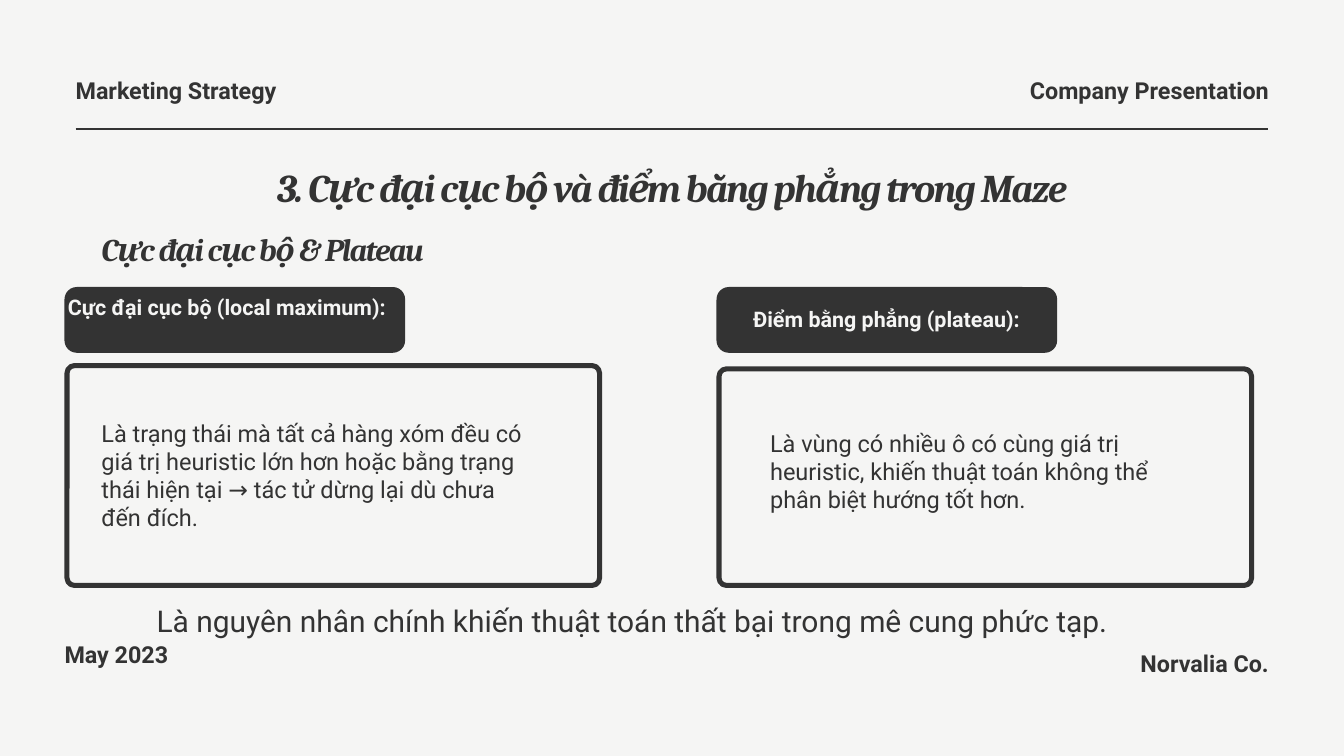
"""Build the slide on local maxima and plateaus in a maze."""
from lxml.etree import SubElement
from pptx import Presentation
from pptx.dml.color import RGBColor
from pptx.enum.shapes import MSO_CONNECTOR, MSO_SHAPE
from pptx.enum.text import MSO_AUTO_SIZE, PP_ALIGN
from pptx.oxml.ns import qn
from pptx.util import Pt

DARK, LIGHT = "333333", "F5F5F4"
LEFT, CENTER, RIGHT = PP_ALIGN.LEFT, PP_ALIGN.CENTER, PP_ALIGN.RIGHT
SLIDE_WIDTH, SLIDE_HEIGHT = 1440, 810
MARGIN, RULE_TOP = 81, 138.4
COLUMNS = (69.1, 767.7)
TAG = {"top": 307.5, "width": 365, "height": 70.5, "radius": 13.2}
FRAME = {"tops": (389, 392.5), "bottom": 630, "width": 576, "border": 5.4, "radius": 8.1}

STYLES = {
    "label": ({"name": "Roboto", "size": Pt(25), "bold": True}, DARK, 35, 0),
    "title": ({"name": "Cambria", "size": Pt(42), "bold": True, "italic": True}, DARK, 50.4, -200),
    "subtitle": ({"name": "Cambria", "size": Pt(33.9), "bold": True, "italic": True}, DARK, 40.7, -170),
    "tag": ({"name": "Roboto", "size": Pt(23), "bold": True}, LIGHT, 27.6, 0),
    "body": ({"name": "Roboto", "size": Pt(25.2)}, DARK, 30.25, 0),
    "summary": ({"name": "Roboto", "size": Pt(32.1)}, DARK, 38.5, 0),
}

TEXTS = [
    ("Marketing Strategy", "label", LEFT, (MARGIN, 76.3, 397, 34)),
    ("Company Presentation", "label", RIGHT, (962.4, 76.3, 397, 34)),
    ("3. Cực đại cục bộ và điểm bằng phẳng trong Maze", "title", CENTER, (MARGIN, 175, 1278, 50.4)),
    ("Cực đại cục bộ & Plateau", "subtitle", LEFT, (108.7, 246.2, 391.7, 40.5)),
    ("Cực đại cục bộ (local maximum):", "tag", CENTER, (69.1, 315.4, 348.5, 54.7)),
    ("Điểm bằng phẳng (plateau):", "tag", CENTER, (798.5, 328.3, 303, 28)),
    ("Là trạng thái mà tất cả hàng xóm đều có giá trị heuristic lớn hơn hoặc bằng trạng thái "
     "hiện tại → tác tử dừng lại dù chưa đến đích.", "body", LEFT, (108.7, 448.6, 454.3, 120.2)),
    ("Là vùng có nhiều ô có cùng giá trị heuristic, khiến thuật toán không thể phân biệt hướng "
     "tốt hơn.", "body", LEFT, (825.1, 459.4, 427, 91.4)),
    ("Là nguyên nhân chính khiến thuật toán thất bại trong mê cung phức tạp.", "summary", LEFT,
     (167.8, 645.8, 1105.2, 38.9)),
    ("May 2023", "label", LEFT, (69.1, 680.4, 397, 34)),
    ("Norvalia Co.", "label", RIGHT, (962.4, 690, 397, 34)),
]


def color(value):
    return RGBColor.from_string(value)


def add_rounded(slide, box, radius):
    shape = slide.shapes.add_shape(MSO_SHAPE.ROUNDED_RECTANGLE, *map(Pt, box))
    shape.shadow.inherit = False
    shape.adjustments[0] = radius / min(box[2:])
    return shape


def add_tag(slide, left):
    shape = add_rounded(slide, (left, TAG["top"], TAG["width"], TAG["height"]), TAG["radius"])
    shape.fill.solid()
    shape.fill.fore_color.rgb = color(DARK)
    shape.line.fill.background()


def add_frame(slide, left, top):
    border = FRAME["border"]
    box = (left + border / 2, top + border / 2,
           FRAME["width"] - border, FRAME["bottom"] - top - border)
    shape = add_rounded(slide, box, FRAME["radius"])
    shape.fill.background()
    shape.line.color.rgb = color(DARK)
    shape.line.width = Pt(border)


def add_rule(slide):
    ends = (MARGIN, RULE_TOP, SLIDE_WIDTH - MARGIN, RULE_TOP)
    connector = slide.shapes.add_connector(MSO_CONNECTOR.STRAIGHT, *map(Pt, ends))
    connector.line.color.rgb = color(DARK)
    connector.line.width = Pt(2.25)
    SubElement(connector.element.spPr, qn("a:effectLst"))


def add_text(slide, text, style, alignment, box):
    font_values, font_color, line_spacing, tracking = STYLES[style]
    frame = slide.shapes.add_textbox(*map(Pt, box)).text_frame
    frame_values = {"margin_left": 0, "margin_top": 0, "margin_right": 0, "margin_bottom": 0,
                    "word_wrap": True, "auto_size": MSO_AUTO_SIZE.SHAPE_TO_FIT_TEXT}
    paragraph = frame.paragraphs[0]
    run = paragraph.add_run()
    run.text = text
    paragraph_values = {"alignment": alignment, "line_spacing": Pt(line_spacing)}
    for target, values in ((frame, frame_values), (paragraph, paragraph_values),
                           (run.font, font_values)):
        for name, value in values.items():
            setattr(target, name, value)
    run.font.color.rgb = color(font_color)
    if tracking:
        run._r.get_or_add_rPr().set("spc", str(tracking))


def main():
    presentation = Presentation()
    presentation.slide_width, presentation.slide_height = Pt(SLIDE_WIDTH), Pt(SLIDE_HEIGHT)
    slide = presentation.slides.add_slide(presentation.slide_layouts[6])
    slide.background.fill.solid()
    slide.background.fill.fore_color.rgb = color(LIGHT)
    add_rule(slide)
    for left, top in zip(COLUMNS, FRAME["tops"]):
        add_frame(slide, left, top)
        add_tag(slide, left)
    for entry in TEXTS:
        add_text(slide, *entry)
    presentation.save("out.pptx")


if __name__ == "__main__":
    main()
